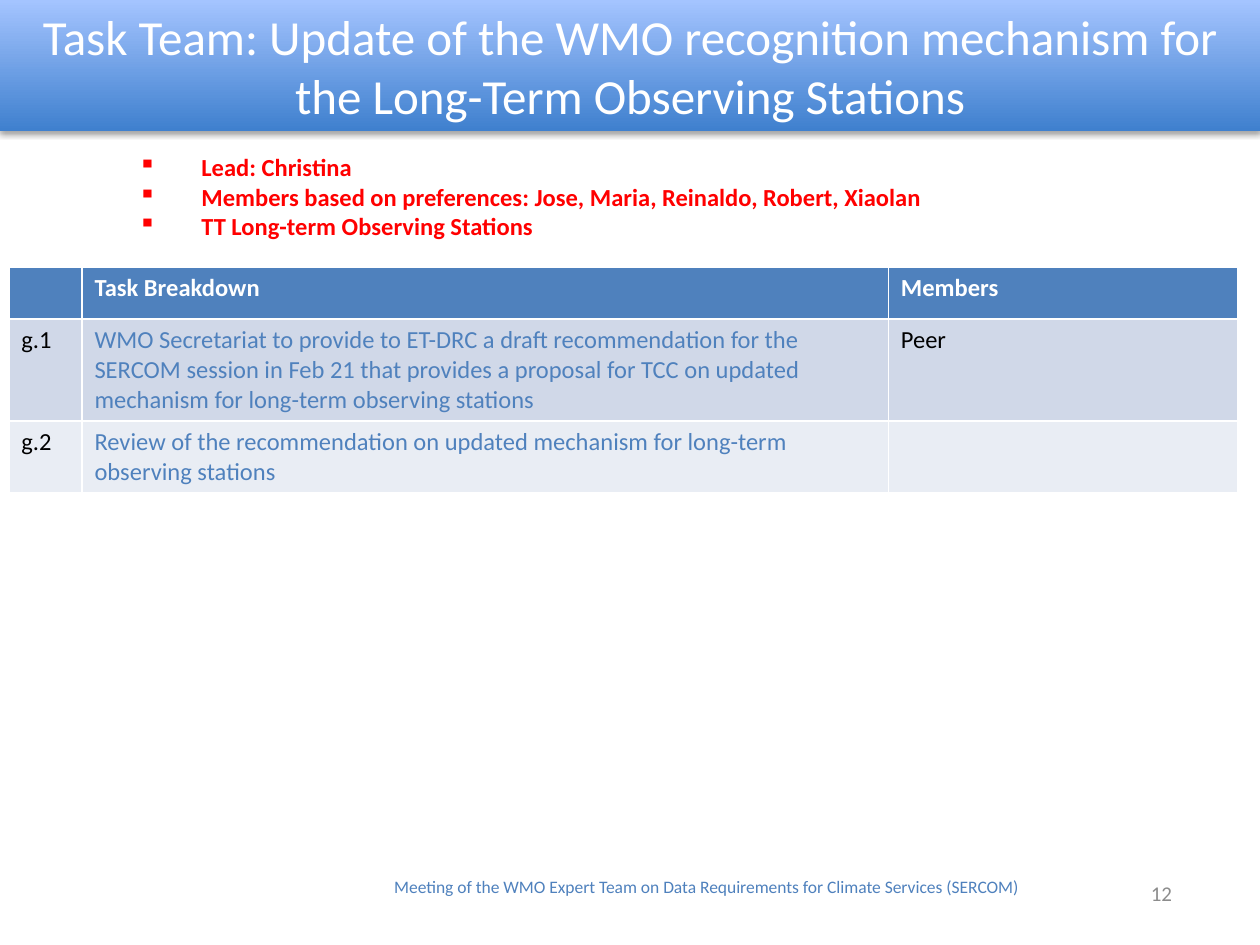
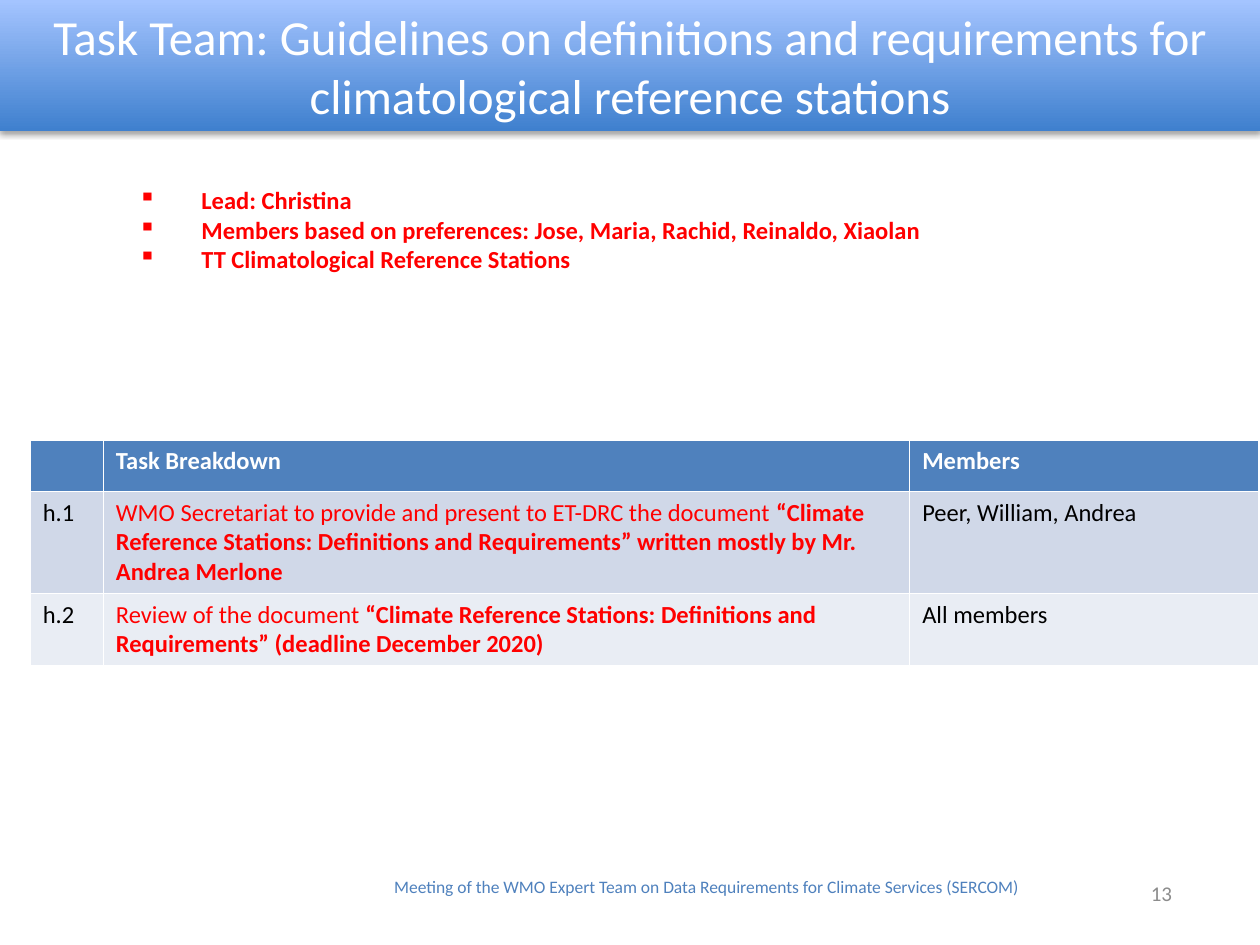
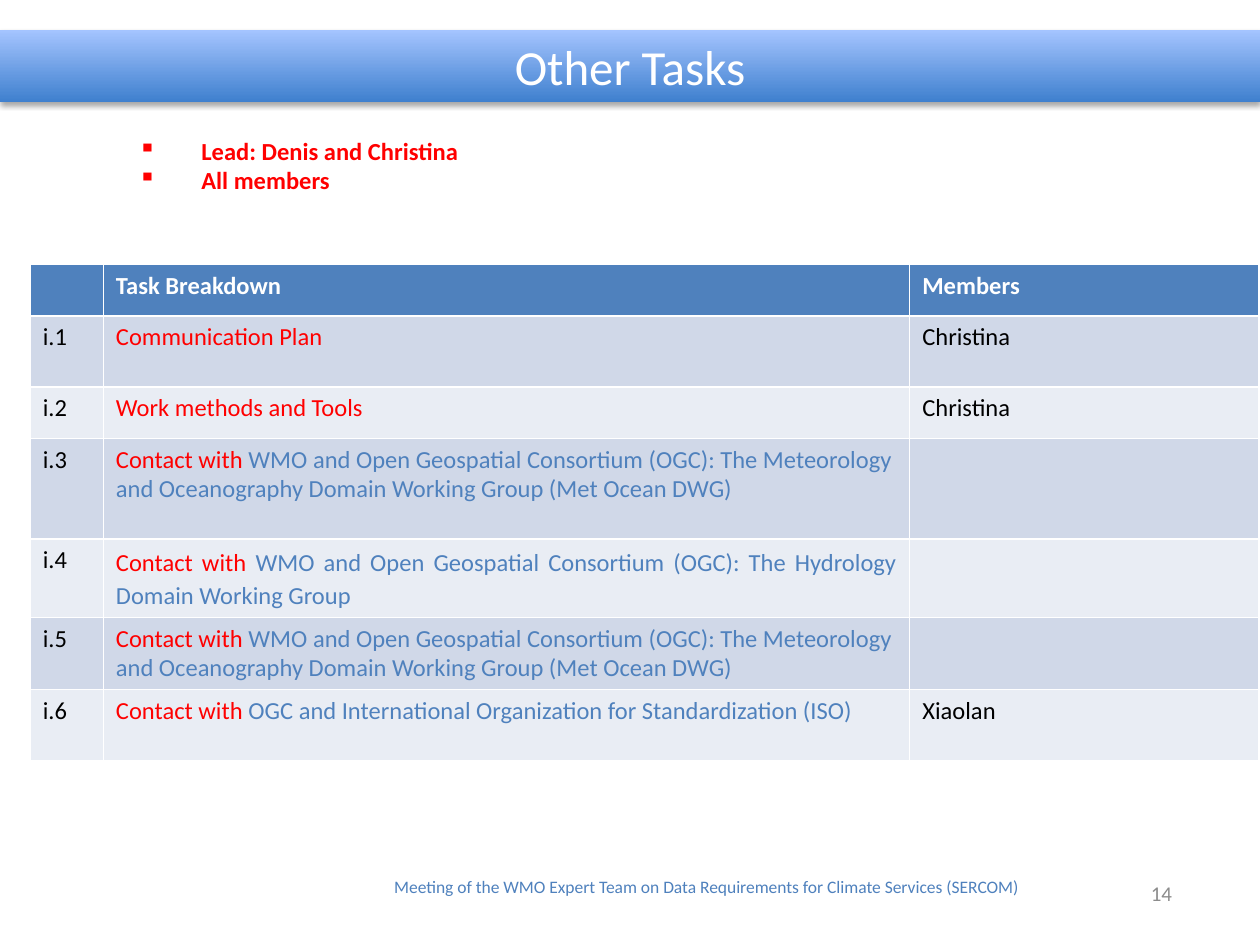
from lxml import etree
from pptx import Presentation
from pptx.dml.color import RGBColor
from pptx.enum import text
from pptx.oxml import ns
from pptx.util import Inches, Pt

FONT = "Calibri"
COLORS = {
    "white": "FFFFFF", "black": "000000", "red": "FF0000", "blue": "4F81BD",
    "grey": "8C8C8C", "band_top": "A4C4FF", "band_bottom": "3F80CE",
    "row_odd": "D0D8E8", "row_even": "E9EDF4",
}
FOOTER = ("Meeting of the WMO Expert Team on Data Requirements "
          "for Climate Services (SERCOM)")
HEADINGS = ["", "Task Breakdown", "Members"]
COLUMN_WIDTHS = [0.58, 6.4, 2.77]
HEADER_HEIGHT = 0.41

CONTACT = ("Contact with ", "red", False)
MET_OCEAN = ("WMO and Open Geospatial Consortium (OGC): The Meteorology and "
             "Oceanography Domain Working Group (Met Ocean DWG)", "blue", False)

SLIDES = [
    {
        "number": 12,
        "title": "Task Team: Update of the WMO recognition mechanism for "
                 "the Long-Term Observing Stations",
        "title_box": (0, 0, 10, 1.04),
        "team": ["Lead: Christina",
                 "Members based on preferences: Jose, Maria, Reinaldo, Robert, Xiaolan",
                 "TT Long-term Observing Stations"],
        "team_box": (0, 1.16, 10, 1.11),
        "table_box": (0.07, 2.12, 9.76, 1.77),
        "tasks": [
            ("g.1", 0.8, [("WMO Secretariat to provide to ET-DRC a draft recommendation "
                           "for the SERCOM session in Feb 21 that provides a proposal for "
                           "TCC on updated mechanism for long-term observing stations",
                           "blue", False)], "Peer"),
            ("g.2", 0.56, [("Review of the recommendation on updated mechanism for "
                            "long-term observing stations", "blue", False)], ""),
        ],
    },
    {
        "number": 13,
        "title": "Task Team: Guidelines on definitions and requirements for "
                 "climatological reference stations",
        "title_box": (0, 0, 10, 1.04),
        "team": ["Lead: Christina",
                 "Members based on preferences: Jose, Maria, Rachid, Reinaldo, Xiaolan",
                 "TT Climatological Reference Stations"],
        "team_box": (0, 1.42, 10, 1.11),
        "table_box": (0.24, 3.49, 9.76, 1.77),
        "tasks": [
            ("h.1", 0.8, [("WMO Secretariat to provide and present to ET-DRC the document ",
                           "red", False),
                          ("“Climate Reference Stations: Definitions and Requirements” "
                           "written mostly by Mr. Andrea Merlone", "red", True)],
             "Peer, William, Andrea"),
            ("h.2", 0.56, [("Review of the document ", "red", False),
                           ("“Climate Reference Stations: Definitions and Requirements” "
                            "(deadline December 2020)", "red", True)], "All members"),
        ],
    },
    {
        "number": 14,
        "title": "Other Tasks",
        "title_box": (0, 0.24, 10, 0.57),
        "team": ["Lead: Denis and Christina", "All members"],
        "team_box": (0, 1.03, 10, 0.84),
        "table_box": (0.24, 2.1, 9.76, 3.92),
        "justified": "i.4",
        "tasks": [
            ("i.1", 0.56, [("Communication Plan", "red", False)], "Christina"),
            ("i.2", 0.41, [("Work methods and Tools", "red", False)], "Christina"),
            ("i.3", 0.8, [CONTACT, MET_OCEAN], ""),
            ("i.4", 0.61, [CONTACT, ("WMO and Open Geospatial Consortium (OGC): The "
                                     "Hydrology Domain Working Group", "blue", False)], ""),
            ("i.5", 0.57, [CONTACT, MET_OCEAN], ""),
            ("i.6", 0.56, [CONTACT, ("OGC and International Organization for "
                                     "Standardization (ISO)", "blue", False)], "Xiaolan"),
        ],
    },
]


def color(name):
    return RGBColor.from_string(COLORS[name])


def style(font, size, color_name, bold=False):
    font.name = FONT
    font.size = Pt(size)
    font.bold = bold
    font.color.rgb = color(color_name)


def add_text(page, box, words, size, color_name, align,
             anchor=text.MSO_ANCHOR.TOP):
    frame = page.shapes.add_textbox(*map(Inches, box)).text_frame
    frame.word_wrap = True
    frame.vertical_anchor = anchor
    para = frame.paragraphs[0]
    para.text = words
    para.alignment = align
    style(para.font, size, color_name)


def add_title(page, box, words):
    title = page.shapes.title
    title.left, title.top, title.width, title.height = map(Inches, box)
    title.fill.gradient()
    title.fill.gradient_angle = 90
    for stop, name in zip(title.fill.gradient_stops, ["band_bottom", "band_top"]):
        stop.color.rgb = color(name)
    effects = etree.SubElement(title.element.spPr, ns.qn("a:effectLst"))
    shadow = etree.SubElement(effects, ns.qn("a:outerShdw"), blurRad=str(Pt(3.1)),
                              dist=str(Pt(1.8)), dir="5400000", rotWithShape="0")
    shade = etree.SubElement(shadow, ns.qn("a:srgbClr"), val=COLORS["black"])
    etree.SubElement(shade, ns.qn("a:alpha"), val="35000")
    frame = title.text_frame
    frame.text = words
    frame.word_wrap = True
    frame.auto_size = text.MSO_AUTO_SIZE.NONE
    frame.vertical_anchor = text.MSO_ANCHOR.MIDDLE
    para = frame.paragraphs[0]
    para.alignment = text.PP_ALIGN.CENTER
    style(para.font, 28, "white")


def add_team(page, box, lines):
    frame = page.shapes.add_textbox(*map(Inches, box)).text_frame
    frame.word_wrap = True
    frame.text = "\n".join(lines)
    for para in frame.paragraphs:
        para.level = 2
        properties = para._p.get_or_add_pPr()
        properties.set("marL", str(Inches(1.5)))
        properties.set("indent", str(Inches(-0.5)))
        etree.SubElement(properties, ns.qn("a:buChar"), char="▪")
        style(para.font, 14, "red", True)


def fill_cell(cell, fill_name, spans):
    cell.fill.solid()
    cell.fill.fore_color.rgb = color(fill_name)
    para = cell.text_frame.paragraphs[0]
    for words, color_name, bold in spans:
        span = para.add_run()
        span.text = words
        style(span.font, 14, color_name, bold)
    return para


def add_tasks(page, box, tasks, justified):
    table = page.shapes.add_table(len(tasks) + 1, len(HEADINGS),
                                  *map(Inches, box)).table
    for column, width in zip(table.columns, COLUMN_WIDTHS):
        column.width = Inches(width)
    table.rows[0].height = Inches(HEADER_HEIGHT)
    for column, heading in enumerate(HEADINGS):
        spans = [(heading, "white", True)] if heading else []
        fill_cell(table.cell(0, column), "blue", spans)
    for row, (code, height, task, members) in enumerate(tasks, 1):
        table.rows[row].height = Inches(height)
        band = "row_odd" if row % 2 else "row_even"
        fill_cell(table.cell(row, 0), band, [(code, "black", False)])
        para = fill_cell(table.cell(row, 1), band, task)
        fill_cell(table.cell(row, 2), band,
                  [(members, "black", False)] if members else [])
        if code == justified:
            para.alignment = text.PP_ALIGN.JUSTIFY
            para.line_spacing = 1.1
            para.space_before = Pt(6)
            para.space_after = Pt(10)


def add_footer(page, number):
    add_text(page, (2.33, 6.9, 6.55, 0.27), FOOTER, 10, "blue",
             text.PP_ALIGN.CENTER)
    add_text(page, (8.85, 6.89, 0.55, 0.4), str(number), 12, "grey",
             text.PP_ALIGN.RIGHT, text.MSO_ANCHOR.MIDDLE)


def add_task_slide(deck, content):
    page = deck.slides.add_slide(deck.slide_layouts.get_by_name("Title Only"))
    add_title(page, content["title_box"], content["title"])
    add_tasks(page, content["table_box"], content["tasks"], content.get("justified"))
    add_team(page, content["team_box"], content["team"])
    add_footer(page, content["number"])


def main():
    deck = Presentation()
    deck.slide_width = Inches(10)
    deck.slide_height = Inches(7.5)
    for content in SLIDES:
        add_task_slide(deck, content)
    deck.save("out.pptx")


if __name__ == "__main__":
    main()
